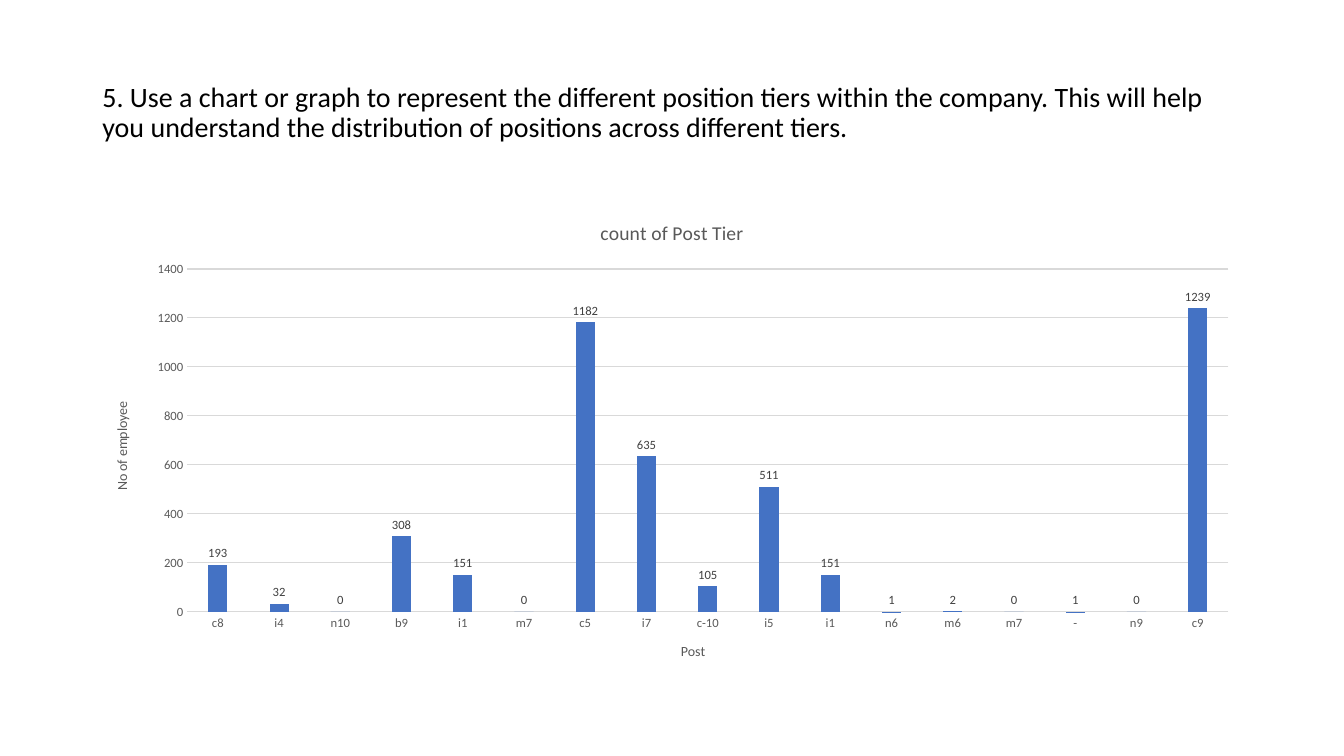
from pptx import Presentation
from pptx.chart.data import CategoryChartData
from pptx.dml.color import RGBColor
from pptx.enum.chart import XL_CHART_TYPE, XL_LABEL_POSITION, XL_TICK_MARK
from pptx.enum.text import MSO_ANCHOR
from pptx.util import Cm, Pt

COLUMN = XL_CHART_TYPE.COLUMN_CLUSTERED
OUTSIDE = XL_LABEL_POSITION.OUTSIDE_END
NO_TICK = XL_TICK_MARK.NONE
MIDDLE = MSO_ANCHOR.MIDDLE
FACE = "Calibri"
GREY, RULE, BLUE = "595959", "D9D9D9", "4472C4"
TIERS = [
    ("c8", 193), ("i4", 32), ("n10", 0), ("b9", 308), ("i1", 151), ("m7", 0),
    ("c5", 1182), ("i7", 635), ("c-10", 105), ("i5", 511), ("i1", 151),
    ("n6", 1), ("m6", 2), ("m7", 0), ("-", 1), ("n9", 0), ("c9", 1239),
]


def hue(code):
    """Turn a hex string into a colour."""
    return RGBColor.from_string(code)


def style(font, size, color):
    """Set face, size and colour of a font."""
    font.name, font.size, font.bold = FACE, Pt(size), False
    font.color.rgb = hue(color)


def write(frame, text, size=10, color=GREY, space=None):
    """Put one formatted paragraph into a text frame."""
    para = frame.paragraphs[0]
    para.line_spacing = space
    run = para.add_run()
    run.text = text
    style(run.font, size, color)


def rule(line):
    """Give a line the thin grey look."""
    line.color.rgb = hue(RULE)
    line.width = Pt(0.75)


def heading(slide, left, top, width, height):
    """Place the task text in the given box."""
    frame = slide.shapes.add_textbox(left, top, width, height).text_frame
    frame.word_wrap = True
    frame.vertical_anchor = MIDDLE
    write(frame, "5. Use a chart or graph to represent the different position "
          "tiers within the company. This will help you understand the "
          "distribution of positions across different tiers.",
          size=20, color="000000", space=0.9)


def tier_chart(slide, left, top, width, height):
    """Place the column chart of post tiers in the given box."""
    data = CategoryChartData()
    data.categories = [tier for tier, count in TIERS]
    data.add_series("Series 1", [count for tier, count in TIERS])
    chart = slide.shapes.add_chart(COLUMN, left, top, width, height, data).chart
    style(chart.font, 10, "000000")
    chart.has_legend = False
    write(chart.chart_title.text_frame, "count of Post Tier", size=14)
    chart.chart_title.include_in_layout = False

    posts, counts = chart.category_axis, chart.value_axis
    for axis, name in ((posts, "Post"), (counts, "No of employee")):
        write(axis.axis_title.text_frame, name)
        axis.major_tick_mark = axis.minor_tick_mark = NO_TICK
        style(axis.tick_labels.font, 9, GREY)
    rule(posts.format.line)
    counts.format.line.fill.background()
    rule(counts.major_gridlines.format.line)
    counts.minimum_scale, counts.maximum_scale = 0, 1400
    counts.major_unit = 200

    plot = chart.plots[0]
    plot.vary_by_categories = False
    plot.gap_width, plot.overlap = 219, -27
    bars = plot.series[0]
    bars.format.fill.solid()
    bars.format.fill.fore_color.rgb = hue(BLUE)
    labels = bars.data_labels
    labels.show_value = True
    labels.position = OUTSIDE
    style(labels.font, 9, "404040")


def main():
    """Build the slide and save it."""
    deck = Presentation()
    deck.slide_width, deck.slide_height = Cm(33.87), Cm(19.05)
    slide = deck.slides.add_slide(deck.slide_layouts[6])
    left, width = Cm(2.33), Cm(29.21)
    heading(slide, left, Cm(1.01), width, Cm(3.68))
    tier_chart(slide, left, Cm(5.07), width, Cm(12.09))
    deck.save("out.pptx")


if __name__ == "__main__":
    main()
